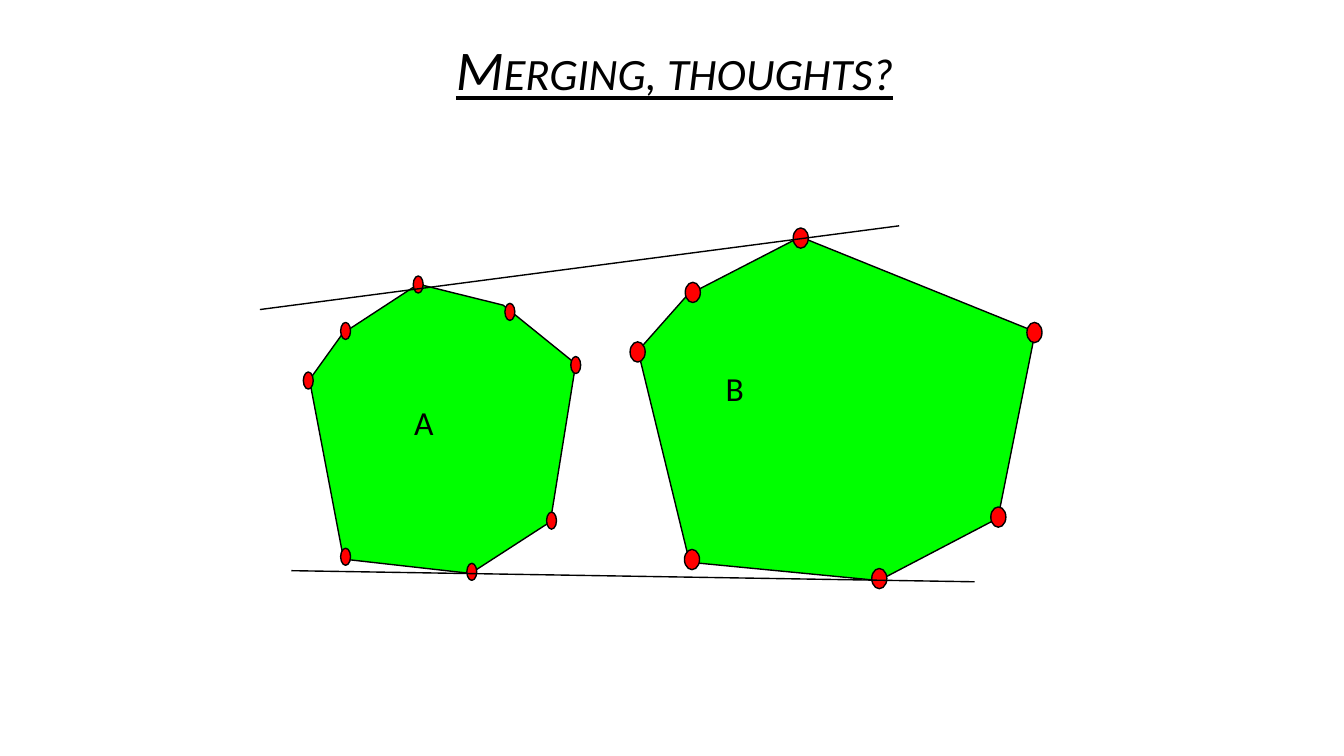
from pptx import Presentation
from pptx import util as u
from pptx.dml import color as c
from pptx.enum import shapes as s, text as t
from pptx.oxml import ns
from lxml import etree

BLACK, GREEN, RED = "000000", "00FF00", "FF0000"


def tint(code):
    return c.RGBColor.from_string(code)


def paint(shape, fill):
    shape.shadow.inherit = False
    shape.fill.solid()
    shape.fill.fore_color.rgb = tint(fill)
    shape.line.color.rgb = tint(BLACK)
    shape.line.width = u.Pt(1)


def write(slide, box, words, size=24, align=t.PP_ALIGN.LEFT,
          anchor=t.MSO_ANCHOR.TOP, slant=False, under=False, caps=False,
          before=0, lead=1.0):
    frame = slide.shapes.add_textbox(*map(u.Cm, box)).text_frame
    frame.word_wrap = True
    frame.vertical_anchor = anchor
    para = frame.paragraphs[0]
    para.alignment = align
    para.space_before = u.Pt(before)
    para.line_spacing = lead
    run = para.add_run()
    run.text = words
    font = run.font
    font.name, font.size = "Calibri", u.Pt(size)
    font.italic, font.underline = slant, under
    font.color.rgb = tint(BLACK)
    if caps:
        run._r.get_or_add_rPr().set("cap", "small")


def title(slide, box):
    write(slide, box, "Merging, thoughts?", size=40, align=t.PP_ALIGN.CENTER,
          anchor=t.MSO_ANCHOR.MIDDLE, slant=True, under=True, caps=True,
          before=10, lead=0.9)


def hull(slide, left, top, corners, dot, label, spot):
    """Each corner is x, y from the box, then the shift of its dot."""
    # Filled polygon
    ends = [(u.Cm(left + x), u.Cm(top + y)) for x, y, _, _ in corners]
    form = slide.shapes.build_freeform(*ends[0], scale=1.0)
    form.add_line_segments(ends[1:], close=True)
    paint(form.convert_to_shape(), GREEN)
    # Corner dots
    wide, high = dot
    for x, y, dx, dy in corners:
        box = (left + x + dx - wide / 2, top + y + dy - high / 2, wide, high)
        paint(slide.shapes.add_shape(s.MSO_SHAPE.OVAL, *map(u.Cm, box)), RED)
    # Label
    write(slide, (left + spot[0], top + spot[1], 2.16, 2.26), label)


def tangent(slide, ends):
    line = slide.shapes.add_connector(s.MSO_CONNECTOR.STRAIGHT,
                                      *map(u.Cm, ends))
    line.line.color.rgb = tint(BLACK)
    line.line.width = u.Pt(1)
    etree.SubElement(line._element.spPr, ns.qn("a:effectLst"))


LEFT_HULL = [
    (6.71, 2.01, 0, 0.03), (6.07, 5.99, 0.03, -0.03),
    (4.06, 7.29, 0.03, -0.04), (0.86, 6.93, 0.05, -0.06),
    (0, 2.41, -0.03, 0.02), (0.84, 1.24, 0.07, -0.06),
    (2.74, 0, 0, 0.01), (4.88, 0.53, 0.17, 0.17),
]
RIGHT_HULL = [
    (10.01, 2.39, -0.02, 0.02), (9.07, 7.09, 0.01, -0.03),
    (6.07, 8.66, 0.01, -0.05), (1.3, 8.2, 0.06, -0.07),
    (0, 2.87, -0.01, 0.03), (1.24, 1.47, 0.14, -0.07),
    (4.09, 0, 0.01, 0.03),
]
TANGENTS = [(7.34, 14.38, 24.56, 14.66), (6.55, 7.8, 22.66, 5.69)]

deck = Presentation()
deck.slide_width, deck.slide_height = u.Cm(33.87), u.Cm(19.05)
page = deck.slides.add_slide(deck.slide_layouts[6])

title(page, (4.5, 0.74, 25, 2.16))
hull(page, 7.8, 7.16, LEFT_HULL, (0.25, 0.43), "A", (2.39, 2.84))
hull(page, 16.08, 5.97, RIGHT_HULL, (0.38, 0.51), "B", (1.96, 3.18))
for ends in TANGENTS:
    tangent(page, ends)

deck.save("out.pptx")
